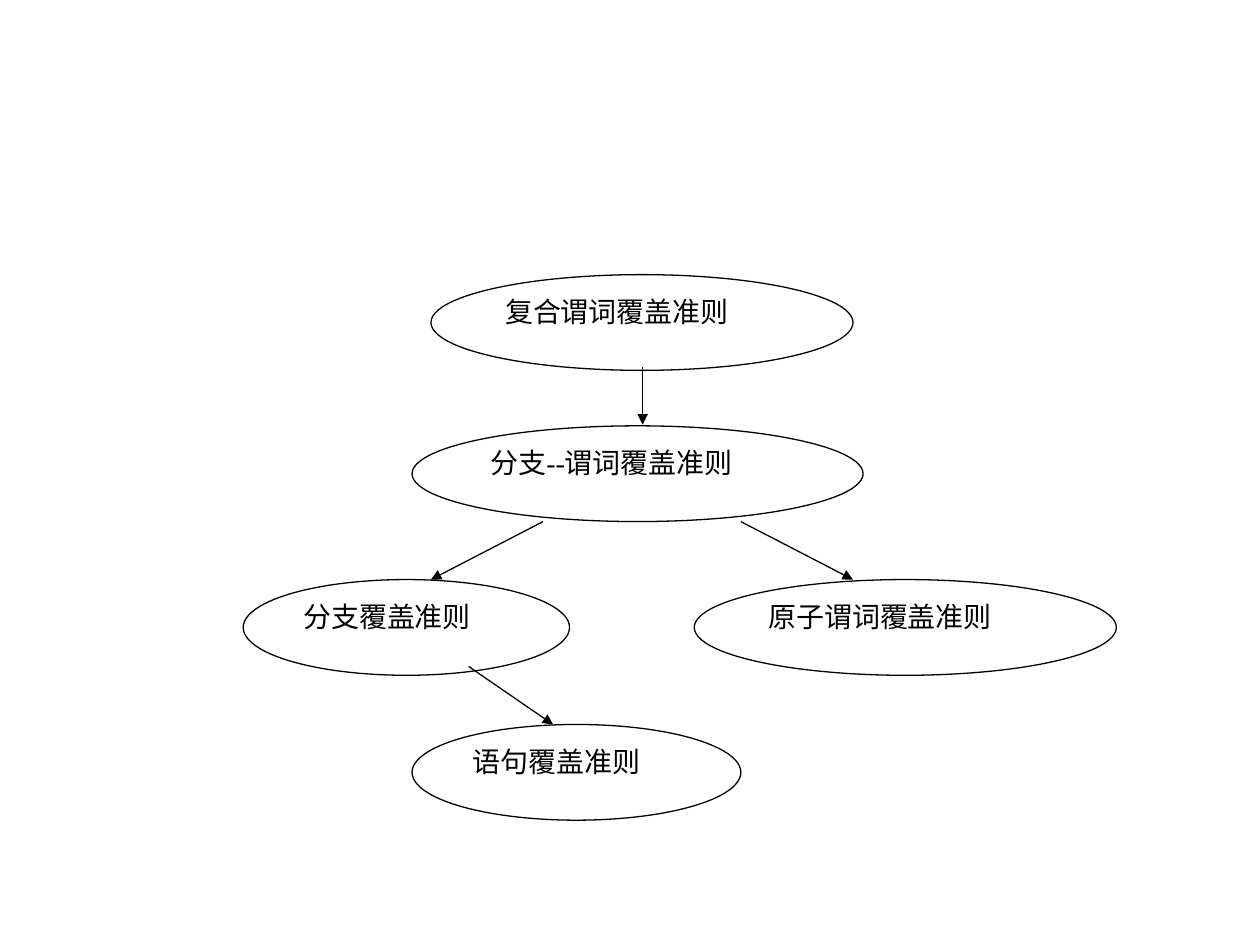
"""Builds a slide showing the hierarchy of predicate coverage criteria."""
from lxml.etree import SubElement
from pptx import Presentation
from pptx.dml.color import RGBColor
from pptx.enum.shapes import MSO_CONNECTOR, MSO_SHAPE
from pptx.enum.text import MSO_ANCHOR, PP_ALIGN
from pptx.oxml.ns import qn
from pptx.util import Inches, Pt

BLACK = RGBColor(0x00, 0x00, 0x00)
WHITE = RGBColor(0xFF, 0xFF, 0xFF)
FONT = "Times New Roman"
OVAL_HEIGHT = 0.76
LINE_WIDTH = Pt(0.75)

CRITERIA = [
    ("复合谓词覆盖准则", 3.42, 2.18, 3.35),
    ("分支--谓词覆盖准则", 3.27, 3.38, 3.58),
    ("分支覆盖准则", 1.93, 4.6, 2.59),
    ("原子谓词覆盖准则", 5.51, 4.6, 3.35),
    ("语句覆盖准则", 3.27, 5.75, 2.61),
]
ARROWS = [
    (5.1, 2.91, 5.1, 3.37),
    (4.31, 4.14, 3.42, 4.6),
    (5.88, 4.14, 6.77, 4.6),
    (3.72, 5.29, 4.39, 5.75),
]


def write_text(tf, text, size=16, color=BLACK, align=PP_ALIGN.JUSTIFY):
    tf.word_wrap = True
    tf.vertical_anchor = MSO_ANCHOR.TOP
    p = tf.paragraphs[0]
    p.alignment = align
    r = p.add_run()
    r.text = text
    r.font.name = FONT
    r.font.size = Pt(size)
    r.font.color.rgb = color


def add_criterion(shapes, text, left, top, width):
    sp = shapes.add_shape(MSO_SHAPE.OVAL, Inches(left), Inches(top),
                          Inches(width), Inches(OVAL_HEIGHT))
    sp.shadow.inherit = False
    sp.fill.solid()
    sp.fill.fore_color.rgb = WHITE
    sp.line.color.rgb = BLACK
    sp.line.width = LINE_WIDTH
    write_text(sp.text_frame, text)


def add_arrow(shapes, *ends):
    cxn = shapes.add_connector(MSO_CONNECTOR.STRAIGHT, *map(Inches, ends))
    cxn.line.color.rgb = BLACK
    cxn.line.width = LINE_WIDTH
    SubElement(cxn.line._get_or_add_ln(), qn("a:tailEnd"), type="triangle")
    SubElement(cxn._element.spPr, qn("a:effectLst"))


def main():
    prs = Presentation()
    prs.slide_width, prs.slide_height = Inches(10), Inches(7.5)
    s = prs.slides.add_slide(prs.slide_layouts[6])
    hierarchy = s.shapes.add_group_shape().shapes
    for criterion in CRITERIA:
        add_criterion(hierarchy, *criterion)
    for arrow in ARROWS:
        add_arrow(hierarchy, *arrow)
    prs.save("out.pptx")


if __name__ == "__main__":
    main()
